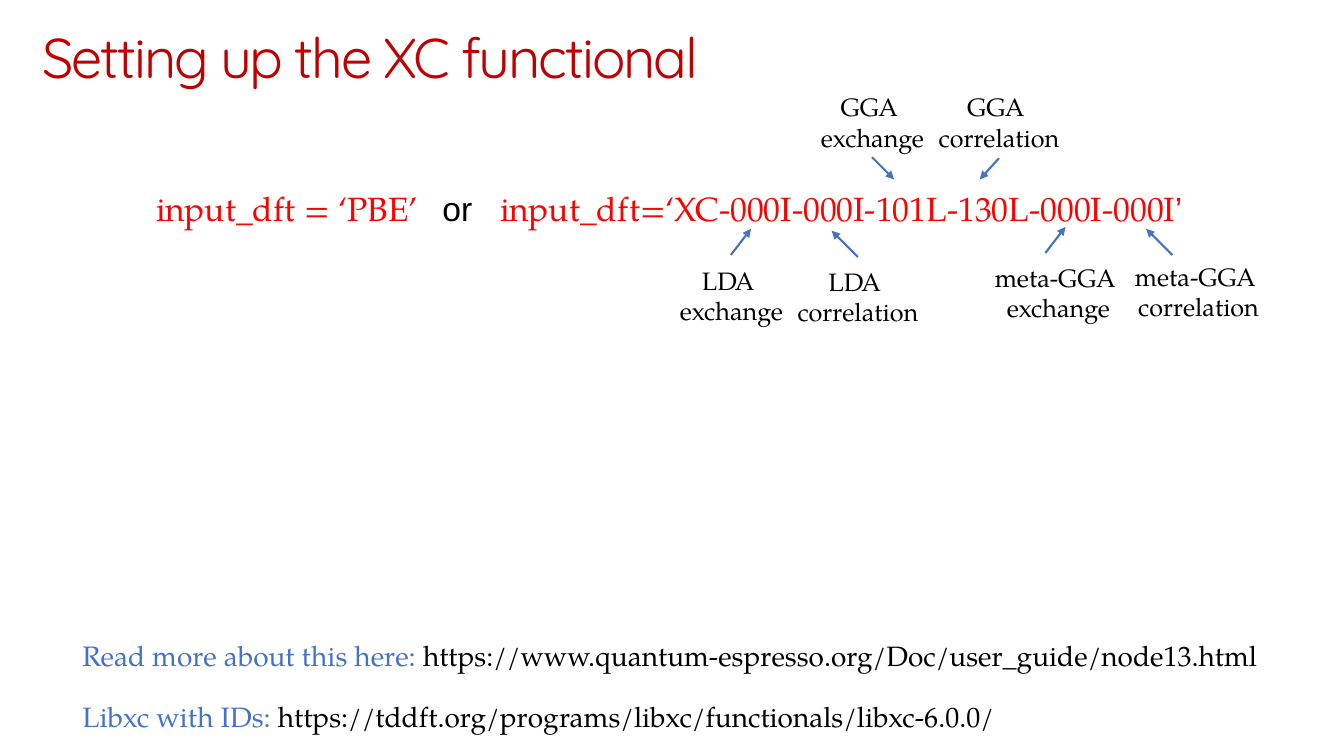
from dataclasses import dataclass

from lxml.etree import SubElement as Sub
from pptx import Presentation as Deck
from pptx.dml.color import RGBColor as Color
from pptx.enum.shapes import MSO_CONNECTOR as Link
from pptx.enum.text import MSO_ANCHOR as Anchor, MSO_AUTO_SIZE as Fit, PP_ALIGN as Align
from pptx.oxml.ns import qn
from pptx.util import Inches, Pt

WIDE, HIGH = Inches(13.333), Inches(7.5)


@dataclass(frozen=True)
class Theme:
    serif: str = "TeX Gyre Pagella"
    sans: str = "Arial"
    head: str = "Quicksand"
    title: str = "C00000"
    code: str = "FF0000"
    blue: str = "4472C4"
    ink: str = "000000"
    big: int = 40
    mid: int = 24
    note: int = 20
    small: int = 18
    line: float = 1.5


LOOK = Theme()

LABELS = [
    ("LDA", "exchange", 49.35, 34.4, 10.13),
    ("LDA", "correlation", 58.13, 34.53, 11.4),
    ("GGA", "exchange", 59.85, 11.47, 10.13),
    ("GGA", "correlation", 68.63, 11.47, 11.4),
    ("meta-GGA", "exchange", 73.05, 34, 11.4),
    ("meta-GGA", "correlation", 83.48, 33.87, 11.4),
]

ARROWS = [
    (54.38, 33.73, 55.88, 30.27),
    (63.83, 34, 61.88, 30.53),
    (64.88, 20.8, 66.53, 23.73),
    (74.33, 20.93, 72.9, 23.73),
    (77.78, 33.47, 79.28, 30),
    (87.23, 33.73, 85.28, 30.27),
]

NOTES = [
    ("Read more about this here: ",
     "https://www.quantum-espresso.org/Doc/user_guide/node13.html", 83.87),
    ("Libxc with IDs: ",
     "https://tddft.org/programs/libxc/functionals/libxc-6.0.0/", 91.87),
]


def across(share):
    return round(WIDE * share / 100)


def down(share):
    return round(HIGH * share / 100)


def write(para, text, size=LOOK.note, face=LOOK.serif, color=LOOK.ink, space=None):
    run = para.add_run()
    run.text = text
    font = run.font
    font.size, font.name = Pt(size), face
    font.color.rgb = Color.from_string(color)
    if space is not None:
        run._r.get_or_add_rPr().set("spc", str(round(space * 100)))


def add_box(slide, left, top, width, height):
    box = slide.shapes.add_textbox(across(left), down(top), across(width), down(height))
    frame = box.text_frame
    frame.word_wrap = True
    frame.auto_size = Fit.SHAPE_TO_FIT_TEXT
    return frame


def add_title(slide, text):
    title = slide.shapes.title
    title.left, title.top = across(3.15), down(0.13)
    title.width, title.height = across(96.53), down(14.67)
    frame = title.text_frame
    frame.vertical_anchor = Anchor.MIDDLE
    frame.margin_left = frame.margin_top = frame.margin_bottom = 0
    frame.margin_right = Inches(0.02)
    para = frame.paragraphs[0]
    para.alignment = Align.LEFT
    write(para, text, size=LOOK.big, face=LOOK.head, color=LOOK.title, space=-1.5)


def add_note(slide, lead, link, top):
    para = add_box(slide, 5.4, top, 91.58, 5.87).paragraphs[0]
    write(para, lead, color=LOOK.blue)
    write(para, link)


def set_tabs(para, *stops):
    tabs = Sub(para._p.get_or_add_pPr(), qn("a:tabLst"))
    for stop in stops:
        Sub(tabs, qn("a:tab"), pos=str(across(stop)), algn="l")


def add_code(slide):
    para = add_box(slide, 10.88, 24.13, 82.5, 6.67).paragraphs[0]
    set_tabs(para, 21.3, 25.6)
    for text, face, color in [
        ("input_dft = ‘PBE’\t", LOOK.serif, LOOK.code),
        ("or\t", LOOK.sans, LOOK.ink),
        ("input_dft=‘XC-000I-000I-101L-130L-000I-000I", LOOK.serif, LOOK.code),
        ("’", LOOK.sans, LOOK.code),
    ]:
        write(para, text, size=LOOK.mid, face=face, color=color)


def add_label(slide, kind, part, left, top, width):
    frame = add_box(slide, left, top, width, 9.47)
    for para, text in (frame.paragraphs[0], kind + " "), (frame.add_paragraph(), part):
        para.alignment = Align.CENTER
        write(para, text, size=LOOK.small)


def add_arrow(slide, left, top, right, base):
    arrow = slide.shapes.add_connector(
        Link.STRAIGHT, across(left), down(top), across(right), down(base))
    arrow.line.color.rgb = Color.from_string(LOOK.blue)
    arrow.line.width = Pt(LOOK.line)
    Sub(arrow.line._get_or_add_ln(), qn("a:tailEnd"), type="triangle")
    Sub(arrow._element.spPr, qn("a:effectLst"))


def main():
    deck = Deck()
    deck.slide_width, deck.slide_height = WIDE, HIGH
    slide = deck.slides.add_slide(deck.slide_layouts[5])
    add_title(slide, "Setting up the XC functional")
    add_code(slide)
    for label in LABELS:
        add_label(slide, *label)
    for arrow in ARROWS:
        add_arrow(slide, *arrow)
    for note in NOTES:
        add_note(slide, *note)
    deck.save("out.pptx")


if __name__ == "__main__":
    main()
